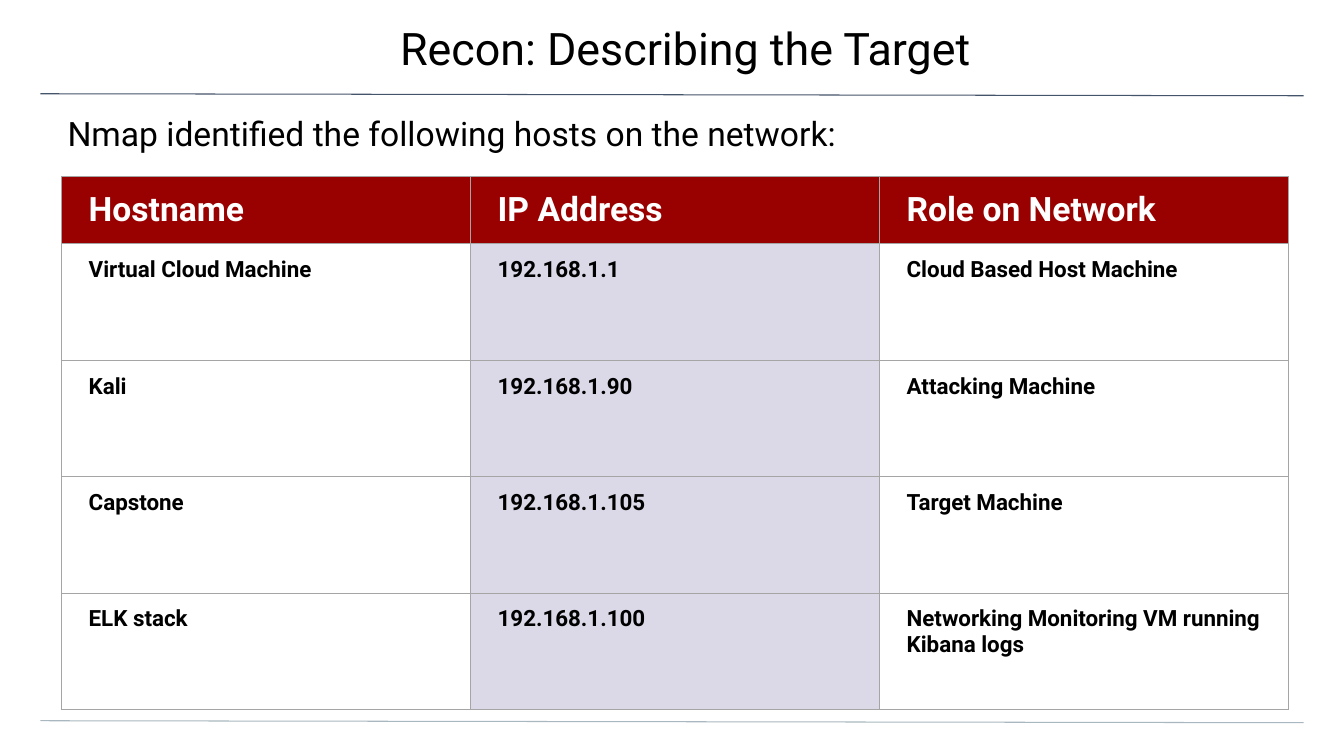
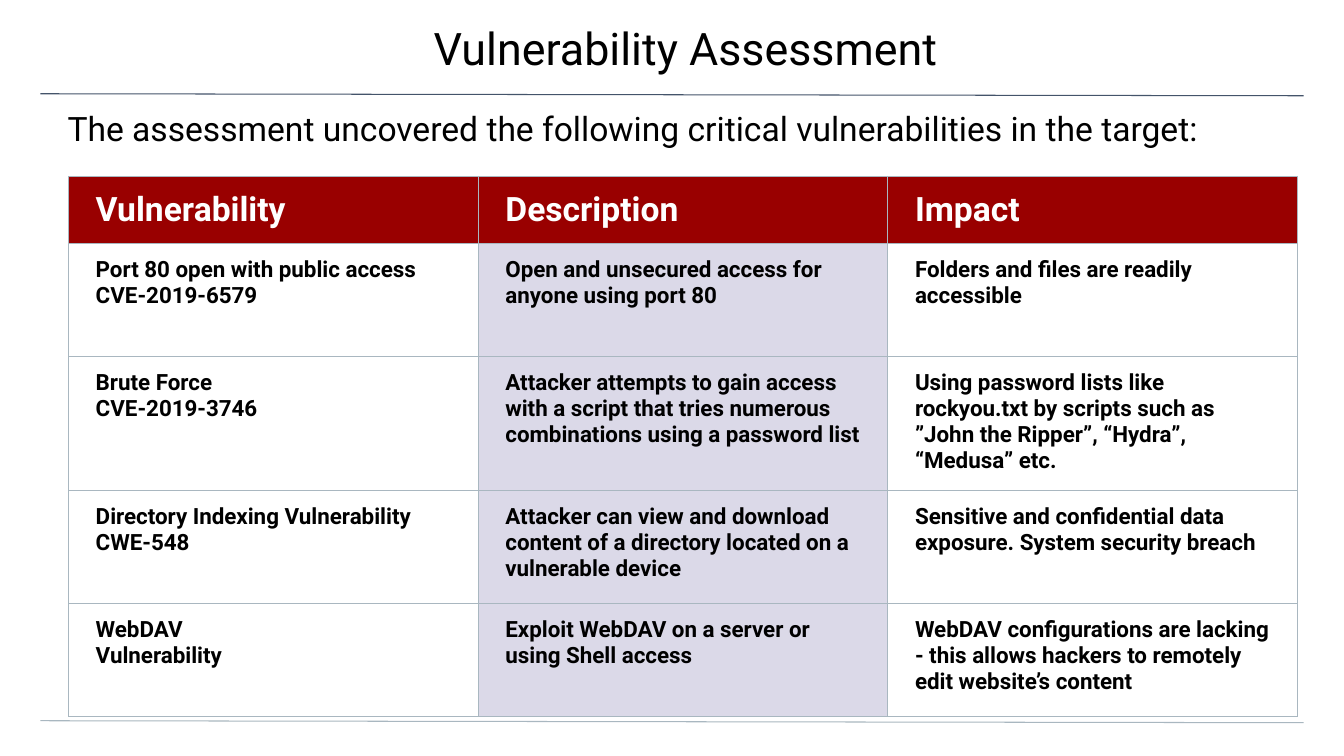
from dataclasses import dataclass

from lxml import etree
from pptx import Presentation
from pptx.dml.color import RGBColor
from pptx.enum.shapes import MSO_CONNECTOR
from pptx.enum.text import MSO_ANCHOR as Anchor, PP_ALIGN as Align
from pptx.oxml.ns import qn
from pptx.util import Inches, Pt


@dataclass(frozen=True)
class Theme:
    font: str = "Roboto"
    black: str = "000000"
    white: str = "FFFFFF"
    header: str = "990000"
    highlight: str = "DBD9E8"
    top_rule: str = "44546A"
    bottom_rule: str = "A9B7C0"
    grey_border: str = "A5A5A5"
    title_size: int = 32
    heading_size: int = 24
    body_size: int = 16
    line_width: float = 0.75


THEME = Theme()

TITLE_BOX = (-0.02, 0, 13.37, 0.78)
LEAD_BOX = (0, 0.99, 13.33, 0.53)
HEADER_HEIGHT = 0.67
HIGHLIGHT_COLUMN = 1


def write_text(frame, text, size=THEME.body_size, color=THEME.black, bold=False,
               align=Align.LEFT, line_spacing=1.0):
    """Fill a text frame, one paragraph for each line of text."""
    frame.word_wrap = True
    for index, line in enumerate(text.split("\n")):
        paragraph = frame.add_paragraph() if index else frame.paragraphs[0]
        paragraph.alignment = align
        paragraph.line_spacing = line_spacing
        run = paragraph.add_run()
        run.text = line
        run.font.name = THEME.font
        run.font.size = Pt(size)
        run.font.bold = bold
        run.font.color.rgb = RGBColor.from_string(color)


def set_margins(target, left, top, right, bottom):
    target.margin_left, target.margin_top = Inches(left), Inches(top)
    target.margin_right, target.margin_bottom = Inches(right), Inches(bottom)


def add_text_box(slide, box, margins, text, **text_format):
    frame = slide.shapes.add_textbox(*map(Inches, box)).text_frame
    frame.vertical_anchor = Anchor.TOP
    set_margins(frame, *margins)
    write_text(frame, text, **text_format)


def add_rule(slide, top, color):
    """Draw a slightly sloping line across the slide."""
    rule = slide.shapes.add_connector(
        MSO_CONNECTOR.STRAIGHT,
        Inches(0.4), Inches(top), Inches(12.93), Inches(top + 0.02))
    rule.line.color.rgb = RGBColor.from_string(color)
    rule.line.width = Pt(THEME.line_width)
    etree.SubElement(rule._element.spPr, qn("a:effectLst"))


def set_borders(cell, color):
    properties = cell._tc.get_or_add_tcPr()
    for side in ("lnL", "lnR", "lnT", "lnB"):
        line = etree.SubElement(properties, qn(f"a:{side}"),
                                w=str(Pt(THEME.line_width)))
        fill = etree.SubElement(line, qn("a:solidFill"))
        etree.SubElement(fill, qn("a:srgbClr"), val=color)


def format_cell(cell, text, border, fill=None, anchor=Anchor.TOP, **text_format):
    set_margins(cell, 0.27, 0.13, 0.27, 0.13)
    cell.vertical_anchor = anchor
    set_borders(cell, border)
    if fill:
        cell.fill.solid()
        cell.fill.fore_color.rgb = RGBColor.from_string(fill)
    else:
        cell.fill.background()
    write_text(cell.text_frame, text, bold=True, **text_format)


def add_findings_table(slide, box, rows, border):
    """Add a table with a header row, equal columns and equal body rows."""
    left, top, width, height = box
    table = slide.shapes.add_table(
        len(rows), len(rows[0]), *map(Inches, box)).table
    table.first_row = table.horz_banding = False
    for column in table.columns:
        column.width = Inches(width / len(rows[0]))
    body_height = (height - HEADER_HEIGHT) / (len(rows) - 1)
    for row_index, texts in enumerate(rows):
        is_header = row_index == 0
        table.rows[row_index].height = Inches(
            HEADER_HEIGHT if is_header else body_height)
        for column_index, text in enumerate(texts):
            cell = table.cell(row_index, column_index)
            if is_header:
                format_cell(cell, text, border, THEME.header, Anchor.MIDDLE,
                            size=THEME.heading_size, color=THEME.white)
            else:
                highlighted = column_index == HIGHLIGHT_COLUMN
                format_cell(cell, text, border,
                            THEME.highlight if highlighted else None)


def add_table_slide(presentation, title, lead, rows, table_box, border,
                    lead_spacing=1.0):
    slide = presentation.slides.add_slide(presentation.slide_layouts[6])
    add_rule(slide, 0.93, THEME.top_rule)
    add_rule(slide, 7.15, THEME.bottom_rule)
    add_text_box(slide, TITLE_BOX, (0.67, 0.27, 0.4, 0.13), title,
                 size=THEME.title_size, align=Align.CENTER, line_spacing=0.9)
    add_text_box(slide, LEAD_BOX, (0.67, 0.13, 0.67, 0), lead,
                 size=THEME.heading_size, line_spacing=lead_spacing)
    add_findings_table(slide, table_box, rows, border)


HOSTS = [
    ("Hostname", "IP Address", "Role on Network"),
    ("Virtual Cloud Machine", "192.168.1.1", "Cloud Based Host Machine"),
    ("Kali", "192.168.1.90", "Attacking Machine"),
    ("Capstone", "192.168.1.105", "Target Machine"),
    ("ELK stack", "192.168.1.100",
     "Networking Monitoring VM running Kibana logs"),
]

VULNERABILITIES = [
    ("Vulnerability", "Description", "Impact"),
    ("Port 80 open with public access\nCVE-2019-6579",
     "Open and unsecured access for anyone using port 80",
     "Folders and files are readily accessible"),
    ("Brute Force\nCVE-2019-3746",
     "Attacker attempts to gain access with a script that tries numerous "
     "combinations using a password list",
     "Using password lists like rockyou.txt by scripts such as "
     "”John the Ripper”, “Hydra”, “Medusa” etc."),
    ("Directory Indexing Vulnerability\nCWE-548",
     "Attacker can view and download content of a directory located on a "
     "vulnerable device",
     "Sensitive and confidential data exposure. System security breach"),
    ("WebDAV\nVulnerability",
     "Exploit WebDAV on a server or using Shell access",
     "WebDAV configurations are lacking - this allows hackers to remotely "
     "edit website’s content"),
]


def main():
    presentation = Presentation()
    presentation.slide_width = Inches(13.33)
    presentation.slide_height = Inches(7.5)
    add_table_slide(
        presentation, "Recon: Describing the Target",
        "Nmap identified the following hosts on the network:",
        HOSTS, (0.61, 1.75, 12.17, 5.29), THEME.grey_border)
    add_table_slide(
        presentation, "Vulnerability Assessment",
        "The assessment uncovered the following critical vulnerabilities "
        "in the target:",
        VULNERABILITIES, (0.68, 1.75, 12.19, 5.15), THEME.bottom_rule,
        lead_spacing=0.9)
    presentation.save("out.pptx")


if __name__ == "__main__":
    main()
